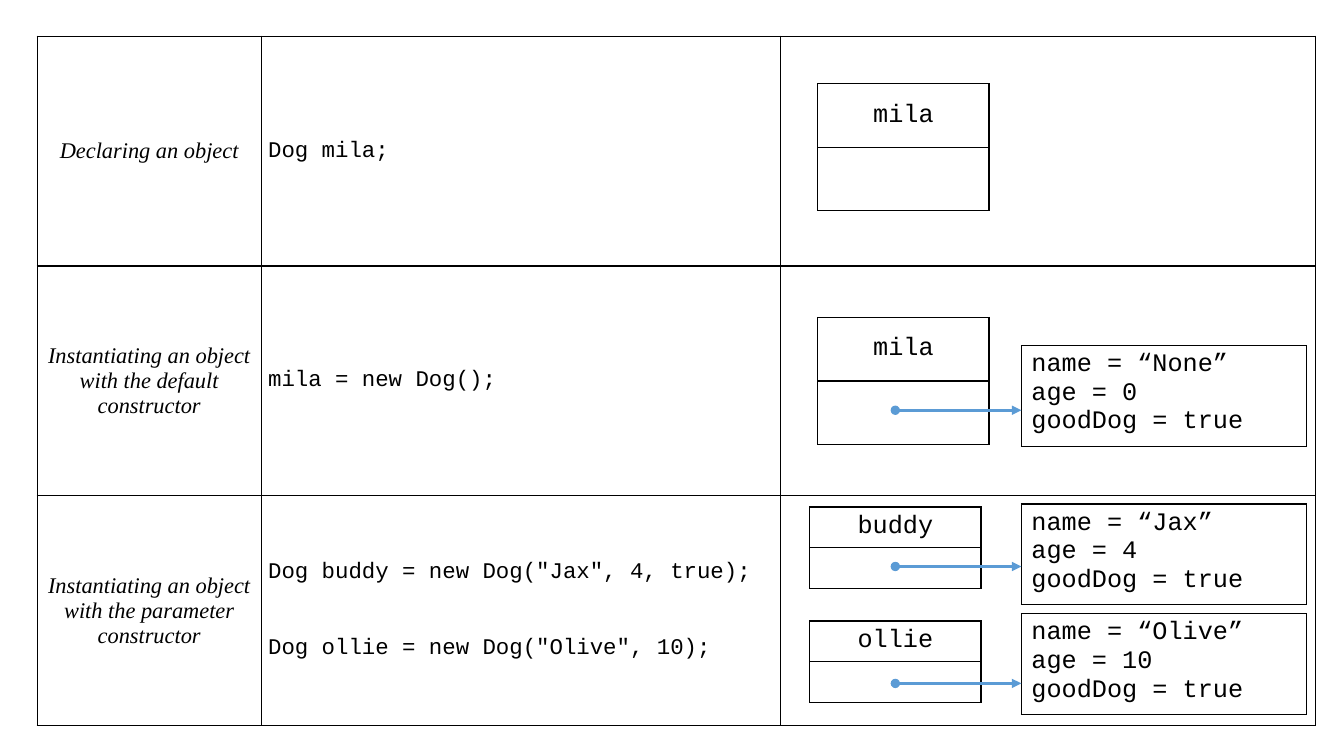
import pptx
import pptx.dml.color
import pptx.enum.text
import pptx.oxml
import pptx.oxml.ns
import pptx.util
from pptx.enum.shapes import MSO_CONNECTOR

Inches, Pt = pptx.util.Inches, pptx.util.Pt
ALIGN = pptx.enum.text.PP_ALIGN
MIDDLE = pptx.enum.text.MSO_ANCHOR.MIDDLE
TOP = pptx.enum.text.MSO_ANCHOR.TOP
NAMESPACE = pptx.oxml.ns.nsdecls("a")
CODE, PROSE = "Courier New", "Times New Roman"
BLACK, BLUE = "000000", "5B9BD5"


def color(value):
    return pptx.dml.color.RGBColor.from_string(value)


def add_grid(left, top, widths, heights, texts, size=18, fonts=(CODE,),
             aligns=(ALIGN.CENTER,), anchor=MIDDLE, margins=(0.1, 0.05), gap=0):
    """Add a black-ruled table; fonts and aligns go by column, gap is points between paragraphs."""
    frame = slide.shapes.add_table(len(heights), len(widths), Inches(left), Inches(top),
                                   Inches(sum(widths)), Inches(sum(heights)))
    table = frame.table
    table.first_row = table.horz_banding = False
    for column, width in zip(table.columns, widths):
        column.width = Inches(width)
    for row, height in zip(table.rows, heights):
        row.height = Inches(height)
    for row_index, row_texts in enumerate(texts):
        for column_index, text in enumerate(row_texts):
            cell = table.cell(row_index, column_index)
            cell.fill.background()
            cell.vertical_anchor = anchor
            cell.margin_left = cell.margin_right = Inches(margins[0])
            cell.margin_top = cell.margin_bottom = Inches(margins[1])
            properties = cell._tc.get_or_add_tcPr()
            for position, side in enumerate("LRTB"):
                properties.insert(position, pptx.oxml.parse_xml(
                    f'<a:ln{side} {NAMESPACE} w="12700"><a:solidFill>'
                    f'<a:srgbClr val="{BLACK}"/></a:solidFill></a:ln{side}>'))
            if not text:
                continue
            for line_index, line in enumerate(text.split("\n")):
                text_frame = cell.text_frame
                paragraph = text_frame.add_paragraph() if line_index else text_frame.paragraphs[0]
                paragraph.alignment = aligns[column_index]
                if line_index and gap:
                    paragraph.space_before = Pt(gap)
                run = paragraph.add_run()
                run.text = line
                run.font.name = fonts[column_index]
                run.font.size = Pt(size)
                run.font.italic = fonts[column_index] == PROSE
                run.font.color.rgb = color(BLACK)


presentation = pptx.Presentation()
presentation.slide_width = Inches(13.33)
presentation.slide_height = Inches(7.5)
slide = presentation.slides.add_slide(presentation.slide_layouts[6])

# Overview: description, code, and room for the memory diagram
add_grid(
    0.37, 0.36, [2.22, 5.15, 5.31], [2.28] * 3,
    [["Declaring an object", "Dog mila;", ""],
     ["Instantiating an object with the default constructor", "mila = new Dog();", ""],
     ["Instantiating an object with the parameter constructor",
      'Dog buddy = new Dog("Jax", 4, true);\nDog ollie = new Dog("Olive", 10);', ""]],
    size=16, fonts=(PROSE, CODE, CODE), aligns=(ALIGN.CENTER, ALIGN.LEFT, ALIGN.LEFT),
    margins=(0.07, 0), gap=36)

# Variables: name, left, top, height of each half
for name, left, top, half in [("mila", 8.11, 0.83, 0.63), ("mila", 8.11, 3.15, 0.63),
                              ("buddy", 8.03, 5.03, 0.4), ("ollie", 8.03, 6.16, 0.4)]:
    add_grid(left, top, [1.7], [half] * 2, [[name], [""]])

# Objects and the references to them: fields, object top, arrow height
OBJECT_LEFT, ARROW_LEFT = 10.13, 8.88
for name, age, top, arrow_y in [("None", 0, 3.43, 4.07), ("Jax", 4, 5, 5.62),
                                ("Olive", 10, 6.09, 6.78)]:
    fields = f"name = “{name}”\nage = {age}\ngoodDog = true"
    add_grid(OBJECT_LEFT, top, [2.83], [1], [[fields]], aligns=(ALIGN.LEFT,), anchor=TOP)
    arrow = slide.shapes.add_connector(MSO_CONNECTOR.STRAIGHT, Inches(ARROW_LEFT), Inches(arrow_y),
                                       Inches(OBJECT_LEFT), Inches(arrow_y))
    arrow.line.color.rgb = color(BLUE)
    arrow.line.width = Pt(2.25)
    line = arrow.line._get_or_add_ln()
    for end, kind in [("headEnd", "oval"), ("tailEnd", "triangle")]:
        line.append(pptx.oxml.parse_xml(f'<a:{end} {NAMESPACE} type="{kind}"/>'))
    arrow._element.spPr.append(pptx.oxml.parse_xml(f"<a:effectLst {NAMESPACE}/>"))

presentation.save("out.pptx")
